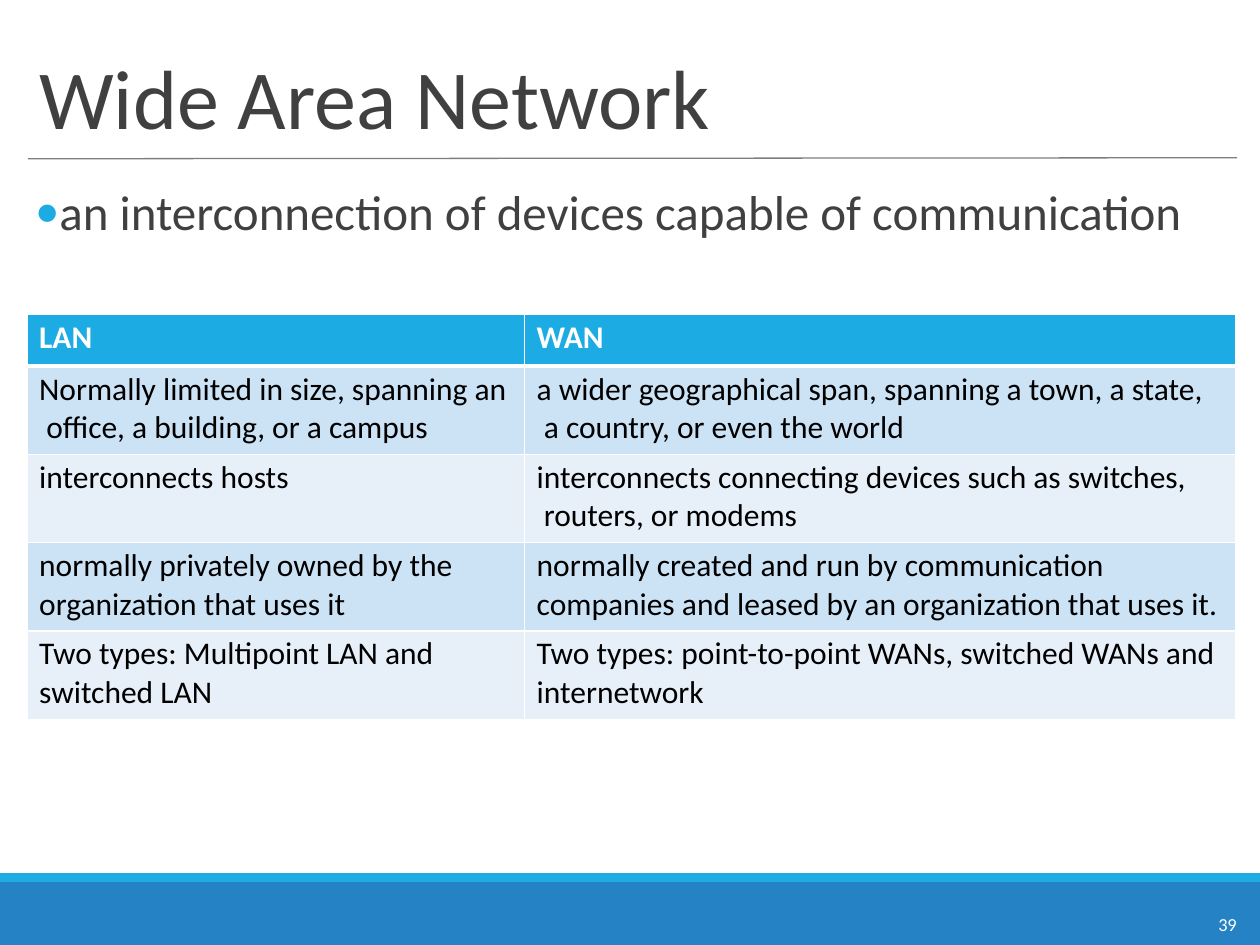
from lxml.etree import SubElement
from pptx import Presentation
from pptx.dml.color import RGBColor
from pptx.enum.shapes import MSO_CONNECTOR as Connector, MSO_SHAPE as Shape
from pptx.enum.text import MSO_ANCHOR as Anchor, MSO_AUTO_SIZE as AutoSize, PP_ALIGN as Align
from pptx.oxml.ns import qn
from pptx.util import Cm, Pt

COLORS = {"title": "404040", "accent": "1CACE3", "footer": "2583C5", "rule": "7E7E7E",
          "white": "FFFFFF", "black": "000000", "odd_row": "CCE2F5", "even_row": "E7F0F9"}
COMPARISON = [
    ("LAN", "WAN"),
    ("Normally limited in size, spanning an\v office, a building, or a campus",
     "a wider geographical span, spanning a town, a state,\v a country, or even the world"),
    ("interconnects hosts",
     "interconnects connecting devices such as switches,\v routers, or modems"),
    ("normally privately owned by the\norganization that uses it",
     "normally created and run by communication\ncompanies and leased by an organization that uses it."),
    ("Two types: Multipoint LAN and\nswitched LAN",
     "Two types: point-to-point WANs, switched WANs and\ninternetwork"),
]


def rgb(name):
    """Return the named palette color."""
    return RGBColor.from_string(COLORS[name])


def write(text_frame, text, size=18, color="black", bold=False, spacing=1.0, font="Calibri"):
    """Put formatted, left-aligned text in a text frame."""
    text_frame.text = text
    for paragraph in text_frame.paragraphs:
        paragraph.alignment = Align.LEFT
        paragraph.line_spacing = spacing
        for run in paragraph.runs:
            run.font.name, run.font.size, run.font.bold = font, Pt(size), bold
            run.font.color.rgb = rgb(color)


class SlideBuilder:
    """Draw styled elements on the current slide."""

    def __init__(self, presentation):
        """Add a title-only slide."""
        self.slide = presentation.slides.add_slide(presentation.slide_layouts[5])

    def prepare(self, text_frame, left=0):
        """Set wrapping, anchoring and margins of a text frame."""
        text_frame.word_wrap = True
        text_frame.auto_size = AutoSize.NONE
        text_frame.vertical_anchor = Anchor.TOP
        text_frame.margin_left, text_frame.margin_top = Cm(left), Cm(0.03)
        text_frame.margin_right = text_frame.margin_bottom = 0

    def title(self, text, left, top, width, height):
        """Place and format the title placeholder."""
        title = self.slide.shapes.title
        title.left, title.top, title.width, title.height = Cm(left), Cm(top), Cm(width), Cm(height)
        self.prepare(title.text_frame, left=0.03)
        write(title.text_frame, text, size=48, color="title")

    def band(self, top, height, color):
        """Add a full-width band."""
        band = self.slide.shapes.add_shape(Shape.RECTANGLE, 0, Cm(top), Cm(25.4), Cm(height))
        band.shadow.inherit = False
        band.fill.solid()
        band.fill.fore_color.rgb = rgb(color)
        band.line.fill.background()

    def rule(self, left, top, right, bottom):
        """Add a thin line under the title."""
        rule = self.slide.shapes.add_connector(
            Connector.STRAIGHT, Cm(left), Cm(top), Cm(right), Cm(bottom))
        rule.line.color.rgb = rgb("rule")
        rule.line.width = Pt(0.75)
        SubElement(rule._element.spPr, qn("a:effectLst"))

    def text(self, text, left, top, width, height, margin=0, bullet=False, **style):
        """Add a text box, with a bullet if asked."""
        box = self.slide.shapes.add_textbox(Cm(left), Cm(top), Cm(width), Cm(height))
        self.prepare(box.text_frame, margin)
        write(box.text_frame, text, **style)
        if bullet:
            properties = box.text_frame.paragraphs[0]._p.get_or_add_pPr()
            properties.set("marL", str(Cm(0.53)))
            properties.set("indent", str(Cm(-0.48)))
            color = SubElement(properties, qn("a:buClr"))
            SubElement(color, qn("a:srgbClr"), val=COLORS["accent"])
            SubElement(properties, qn("a:buFont"), typeface="Calibri")
            SubElement(properties, qn("a:buChar"), char="•")

    def borders(self, cell, top, bottom):
        """Draw white borders around a table cell."""
        properties = cell._tc.get_or_add_tcPr()
        for side, width in (("L", 1), ("R", 1), ("T", top), ("B", bottom)):
            line = SubElement(properties, qn(f"a:ln{side}"), w=str(Pt(width)))
            fill = SubElement(line, qn("a:solidFill"))
            SubElement(fill, qn("a:srgbClr"), val=COLORS["white"])

    def table(self, rows, left, top, widths, heights):
        """Add a table with a header and alternating rows."""
        frame = self.slide.shapes.add_table(
            len(rows), len(widths), Cm(left), Cm(top), Cm(sum(widths)), Cm(sum(heights)))
        table = frame.table
        for column, width in zip(table.columns, widths):
            column.width = Cm(width)
        for index, (texts, height) in enumerate(zip(rows, heights)):
            table.rows[index].height = Cm(height)
            header = index == 0
            fill = "accent" if header else "odd_row" if index % 2 else "even_row"
            for cell, text in zip(table.rows[index].cells, texts):
                cell.margin_left, cell.margin_top = Cm(0.25), Cm(0.08)
                cell.margin_right = cell.margin_bottom = 0
                self.borders(cell, top=3 if index == 1 else 1, bottom=3 if header else 1)
                cell.fill.solid()
                cell.fill.fore_color.rgb = rgb(fill)
                write(cell.text_frame, text, color="white" if header else "black", bold=header)


def main():
    """Build and save the slide."""
    presentation = Presentation()
    presentation.slide_width, presentation.slide_height = Cm(25.4), Cm(19.05)
    builder = SlideBuilder(presentation)
    builder.band(17.78, 1.27, "footer")
    builder.band(17.6, 0.18, "accent")
    builder.rule(0.56, 3.2, 24.94, 3.18)
    builder.title("Wide Area Network", 0.76, 0.89, 18.29, 2.11)
    builder.text("39", 24.46, 18.34, 0.6, 0.43, margin=0.1, size=10.5, color="white", spacing=1.1)
    builder.text("an interconnection of devices capable of communication",
                 0.66, 3.63, 23.3, 1.27, bullet=True, size=28, color="title")
    builder.table(COMPARISON, 0.54, 6.34, [10.03, 14.35], [1.04] + [1.78] * 4)
    presentation.save("out.pptx")


if __name__ == "__main__":
    main()
